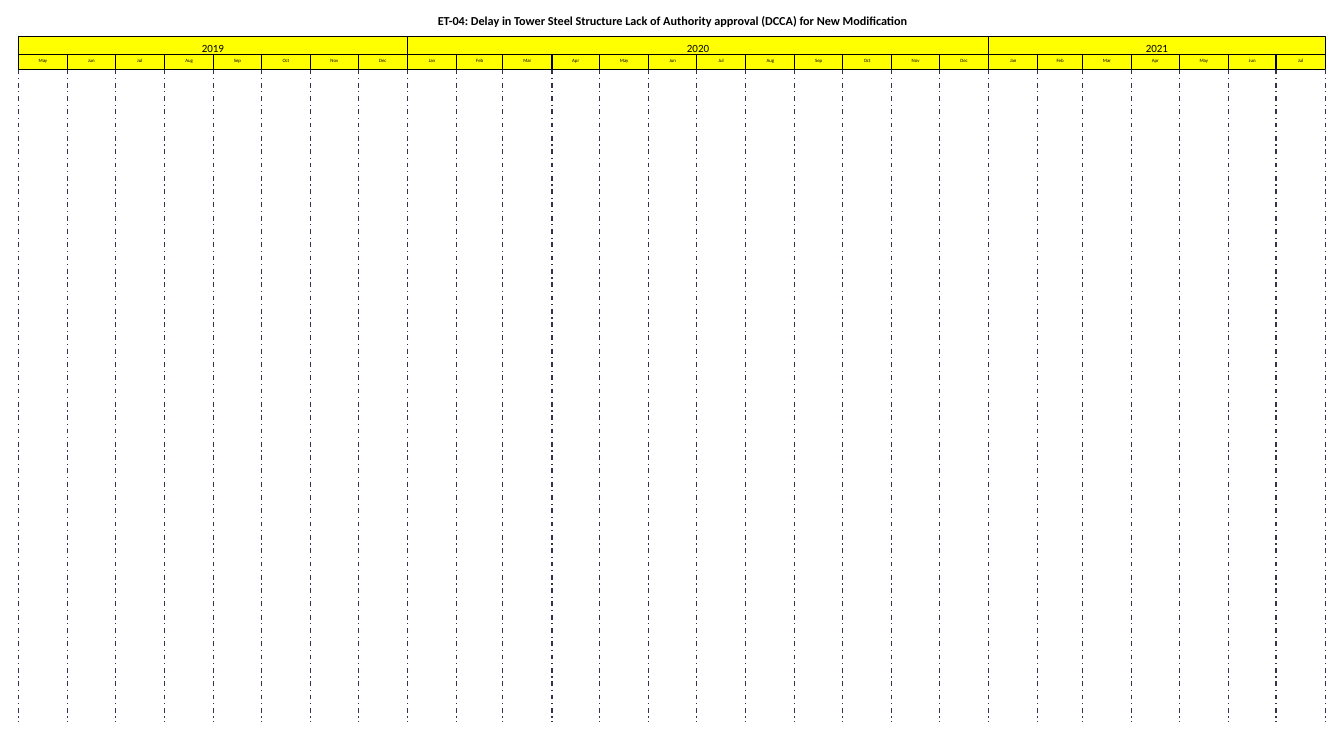
import pptx
import pptx.util
import pptx.dml.color
import pptx.enum.dml
import pptx.enum.shapes
import pptx.enum.text
import pptx.oxml.ns
import lxml.etree

Cm = pptx.util.Cm
Pt = pptx.util.Pt

COLORS = {"bar": "FFFF00", "ink": "000000", "grid": "333350"}
MONTHS = {"Jan": 31, "Feb": 28, "Mar": 31, "Apr": 30, "May": 31, "Jun": 30,
          "Jul": 31, "Aug": 31, "Sep": 30, "Oct": 31, "Nov": 30, "Dec": 31}
YEARS = {2019: ("May", "Dec"), 2020: ("Jan", "Dec"), 2021: ("Jan", "Jul")}
TITLE = "ET-04: Delay in Tower Steel Structure Lack of Authority approval (DCCA) for New Modification"
YEAR_H = 0.52
MONTH_H = 0.43


def rgb(name):
    return pptx.dml.color.RGBColor.from_string(COLORS[name])


def set_text(shape, text, size, bold=False, side=0.25):
    tf = shape.text_frame
    frame = {"word_wrap": True,
             "auto_size": pptx.enum.text.MSO_AUTO_SIZE.SHAPE_TO_FIT_TEXT,
             "vertical_anchor": pptx.enum.text.MSO_ANCHOR.TOP,
             "margin_left": Cm(side), "margin_right": Cm(side),
             "margin_top": Cm(0.13), "margin_bottom": Cm(0.13)}
    for key, value in frame.items():
        setattr(tf, key, value)
    p = tf.paragraphs[0]
    p.alignment = pptx.enum.text.PP_ALIGN.CENTER
    p.line_spacing = 1.0
    r = p.add_run()
    r.text = text
    for key, value in {"name": "Calibri", "size": Pt(size), "bold": bold}.items():
        setattr(r.font, key, value)
    r.font.color.rgb = rgb("ink")


def add_title(s, left, top, width, height):
    title = s.shapes.title
    box = {"left": left, "top": top, "width": width, "height": height}
    for key, value in box.items():
        setattr(title, key, Cm(value))
    set_text(title, TITLE, 10, bold=True)


def add_bar(s, left, top, width, height, text, size, side):
    sp = s.shapes.add_shape(pptx.enum.shapes.MSO_SHAPE.RECTANGLE,
                            Cm(left), Cm(top), Cm(width), Cm(height))
    sp.shadow.inherit = False
    sp.fill.solid()
    sp.fill.fore_color.rgb = rgb("bar")
    sp.line.color.rgb = rgb("ink")
    sp.line.width = Pt(1)
    set_text(sp, text, size, side=side)


def add_grid_line(s, x, top, bottom):
    line = s.shapes.add_connector(pptx.enum.shapes.MSO_CONNECTOR.STRAIGHT,
                                  Cm(x), Cm(top), Cm(x), Cm(bottom))
    line.line.color.rgb = rgb("grid")
    line.line.width = Pt(1)
    line.line.dash_style = pptx.enum.dml.MSO_LINE.DASH_DOT
    props = line._element.spPr
    lxml.etree.SubElement(props, pptx.oxml.ns.qn("a:effectLst"))


def year_months(year):
    names = list(MONTHS)
    first, last = (names.index(name) for name in YEARS[year])
    return [(name, MONTHS[name] + (name == "Feb" and year % 4 == 0))
            for name in names[first:last + 1]]


def add_timeline(s, left, top, width, height):
    calendar = {year: year_months(year) for year in YEARS}
    day = width / sum(days for months in calendar.values() for _, days in months)
    month_top = top + YEAR_H
    grid_top = month_top + MONTH_H
    bottom = top + height

    x = left
    for year, months in calendar.items():
        year_w = day * sum(days for _, days in months)
        add_bar(s, x, top, year_w, YEAR_H, str(year), 9, 0.25)
        x += year_w

    x = left
    for months in calendar.values():
        for name, days in months:
            add_grid_line(s, x, grid_top, bottom)
            add_bar(s, x, month_top, day * days, MONTH_H, name, 4, 0)
            x += day * days
    add_grid_line(s, x, grid_top, bottom)


def main():
    prs = pptx.Presentation()
    prs.slide_width = Cm(38.89)
    prs.slide_height = Cm(21.16)
    s = prs.slides.add_slide(prs.slide_layouts[5])
    add_title(s, 0.53, 0.25, 37.85, 0.79)
    add_timeline(s, 0.53, 1.06, 37.82, 19.84)
    prs.save("out.pptx")


if __name__ == "__main__":
    main()
